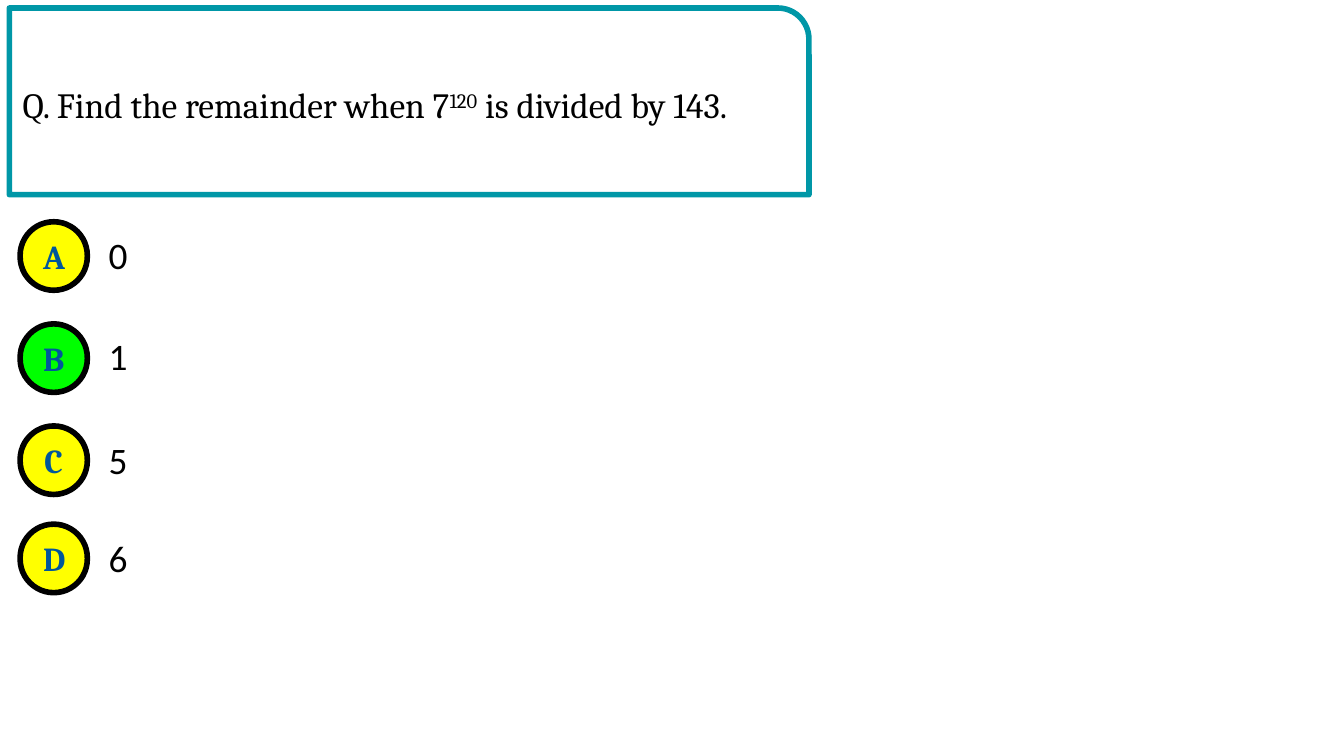
from pptx import Presentation
from pptx.dml.color import RGBColor
from pptx.enum.shapes import MSO_SHAPE
from pptx.enum.text import MSO_ANCHOR, PP_ALIGN
from pptx.util import Pt

CARD = MSO_SHAPE.ROUND_1_RECTANGLE
PILL = MSO_SHAPE.ROUNDED_RECTANGLE
TOP, MIDDLE = MSO_ANCHOR.TOP, MSO_ANCHOR.MIDDLE
LEFT, CENTER, JUSTIFY = PP_ALIGN.LEFT, PP_ALIGN.CENTER, PP_ALIGN.JUSTIFY

COLORS = {
    "black": "000000",
    "teal": "0097A7",
    "blue": "00579B",
    "yellow": "FFFF00",
    "green": "00FF00",
}


class Quiz:
    """Draws the parts of a quiz question on one slide."""

    def __init__(self, slide):
        self.slide = slide
        self.serif = "Cambria"
        self.sans = "Calibri"
        self.inset = Pt(7.2)
        self.border = Pt(3)

    def color(self, name):
        return RGBColor.from_string(COLORS[name])

    def label(self, shape, parts, font, size, color, align, anchor, bold=False):
        frame = shape.text_frame
        frame.word_wrap = True
        frame.vertical_anchor = anchor
        frame.margin_left = frame.margin_right = self.inset
        frame.margin_top = frame.margin_bottom = self.inset
        para = frame.paragraphs[0]
        para.alignment = align
        para.font.name = font
        para.font.size = Pt(size)
        para.font.bold = bold
        para.font.color.rgb = self.color(color)
        for text, raised in parts:
            run = para.add_run()
            run.text = text
            if raised:
                run._r.get_or_add_rPr().set("baseline", "30000")
        return para

    def outline(self, kind, box, bend, line, fill=None):
        shape = self.slide.shapes.add_shape(kind, *map(Pt, box))
        shape.adjustments[0] = bend
        shape.shadow.inherit = False
        shape.line.color.rgb = self.color(line)
        shape.line.width = self.border
        if fill:
            shape.fill.solid()
            shape.fill.fore_color.rgb = self.color(fill)
        else:
            shape.fill.background()
        return shape

    def question(self, parts):
        shape = self.outline(CARD, (5, 4.3, 428.4, 100), 0.167, "teal")
        para = self.label(shape, parts, self.serif, 19, "black", JUSTIFY, MIDDLE)
        para.line_spacing = 1.15

    def badge(self, letter, top, fill):
        shape = self.outline(PILL, (10.8, top, 36, 36.7), 0.5, "black", fill)
        self.label(shape, [(letter, False)], self.serif, 18, "blue", CENTER, MIDDLE, True)

    def answer(self, text, top):
        box = self.slide.shapes.add_textbox(Pt(51.1), Pt(top), Pt(270), Pt(38.9))
        self.label(box, [(text, False)], self.sans, 20, "black", LEFT, TOP)


def main():
    deck = Presentation()
    deck.slide_width, deck.slide_height = Pt(720), Pt(405)
    quiz = Quiz(deck.slides.add_slide(deck.slide_layouts[6]))
    quiz.question([
        ("Q. Find the remainder when 7", False),
        ("120", True),
        (" is divided by 143.", False),
    ])
    choices = [
        ("A", "0", 118.8, 117.4),
        ("B", "1", 173.5, 171.4),
        ("C", "5", 228.2, 226.8),
        ("D", "6", 280.8, 279.4),
    ]
    right = "B"
    for letter, text, top, text_top in choices:
        quiz.badge(letter, top, "green" if letter == right else "yellow")
        quiz.answer(text, text_top)
    deck.save("out.pptx")


if __name__ == "__main__":
    main()
